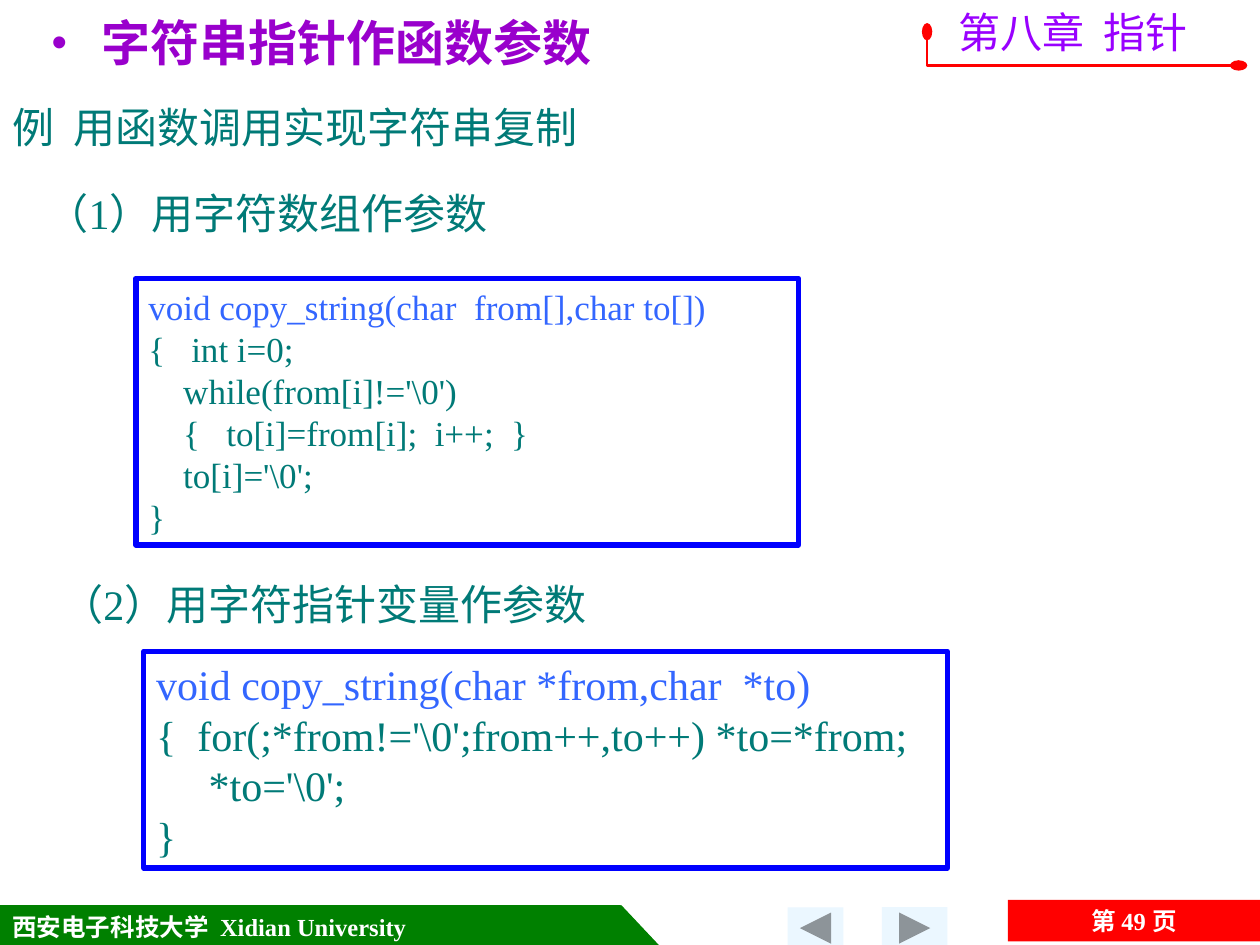
from lxml.etree import SubElement
from pptx import Presentation
from pptx.dml.color import RGBColor
from pptx.enum.shapes import MSO_SHAPE as Shape
from pptx.enum.text import MSO_ANCHOR as Anchor, PP_ALIGN as Align
from pptx.oxml.ns import qn
from pptx.util import Cm, Pt

COLOURS = {
    "green": "008000", "red": "FF0000", "button": "EBF7FF", "white": "FFFFFF",
    "teal": "007A77", "signature": "3366FF", "frame": "0000FF",
    "title": "9900CC", "chapter": "9900FF",
}
SERIF, CHINESE = "Times New Roman", "Noto Sans CJK SC"


def add_span(para, text, size, colour, font=SERIF, bold=False):
    span = para.add_run()
    span.text = text
    span.font.size = Pt(size)
    span.font.bold = bold
    span.font.name = font
    span.font.color.rgb = RGBColor.from_string(COLOURS[colour])
    SubElement(span.font._element, qn("a:ea"), typeface=CHINESE)


def add_block(kind, left, top, width, height, fill, line=None, weight=0.75):
    block = page.shapes.add_shape(kind, Cm(left), Cm(top), Cm(width), Cm(height))
    block.shadow.inherit = False
    block.fill.solid()
    block.fill.fore_color.rgb = RGBColor.from_string(COLOURS[fill])
    if line:
        block.line.color.rgb = RGBColor.from_string(COLOURS[line])
        block.line.width = Pt(weight)
    else:
        block.line.fill.background()
    return block


deck = Presentation()
deck.slide_width, deck.slide_height = Cm(25.4), Cm(19.05)
page = deck.slides.add_slide(deck.slide_layouts[6])

# Footer: university band, navigation buttons, page number
band = add_block(Shape.RECTANGLE, 0, 18.26, 12.5, 0.84, "green", "green")
band.text_frame.word_wrap = False
band.text_frame.vertical_anchor = Anchor.MIDDLE
para = band.text_frame.paragraphs[0]
para.alignment = Align.LEFT
add_span(para, "西安电子科技大学  Xidian University", 14, "white", bold=True)
add_block(Shape.RIGHT_TRIANGLE, 12.52, 18.26, 0.79, 0.84, "green", "green")

for left, width, angle in [(17.78, 1.32, 0), (15.88, 1.12, 180)]:
    button = add_block(Shape.ACTION_BUTTON_FORWARD_OR_NEXT,
                       left, 18.29, width, 0.84, "button")
    button.rotation = angle

number = add_block(Shape.RECTANGLE, 20.32, 18.14, 5.08, 0.84, "red")
number.text_frame.vertical_anchor = Anchor.TOP
para = number.text_frame.paragraphs[0]
para.alignment = Align.CENTER
for text, font in [("第 ", CHINESE), ("49 ", SERIF), ("页", CHINESE)]:
    add_span(para, text, 14, "white", font, bold=True)

# Headings: text, left, top, width, wrap, colour, font
headings = [
    ("例  用函数调用实现字符串复制", 0, 1.93, 11.94, False, "teal", SERIF),
    ("（1）用字符数组作参数", 0.69, 3.66, 9.4, True, "teal", SERIF),
    ("（2）用字符指针变量作参数", 0.99, 11.53, 11.1, True, "teal", SERIF),
    ("第八章  指针", 19.08, 0, 5.59, False, "chapter", CHINESE),
]
for text, left, top, width, wrap, colour, font in headings:
    box = page.shapes.add_textbox(Cm(left), Cm(top), Cm(width), Cm(1.27))
    box.text_frame.word_wrap = wrap
    add_span(box.text_frame.paragraphs[0], text, 24, colour, font)

# Bulleted title
box = page.shapes.add_textbox(Cm(-0.48), Cm(0.13), Cm(18.19), Cm(1.8))
box.text_frame.word_wrap = True
para = box.text_frame.paragraphs[0]
props = para._p.get_or_add_pPr()
props.set("marL", str(Cm(2.06)))
props.set("indent", str(Cm(-0.79)))
bullet_colour = SubElement(props, qn("a:buClr"))
SubElement(bullet_colour, qn("a:srgbClr"), val=COLOURS["title"])
SubElement(props, qn("a:buSzPct"), val="90000")
SubElement(props, qn("a:buFont"), typeface="Arial")
SubElement(props, qn("a:buChar"), char="•")
add_span(para, " 字符串指针作函数参数", 28, "title", "Arial", bold=True)

# Angled rule under the chapter name
builder = page.shapes.build_freeform(Cm(18.69), Cm(0.64))
builder.add_line_segments([(Cm(18.69), Cm(1.32)), (Cm(24.97), Cm(1.32))], close=False)
rule = builder.convert_to_shape()
rule.shadow.inherit = False
rule.fill.background()
rule.line.color.rgb = RGBColor.from_string(COLOURS["red"])
rule.line.width = Pt(1.5)
for end in ("a:headEnd", "a:tailEnd"):
    SubElement(rule.line._get_or_add_ln(), qn(end), type="oval", w="med", len="lg")

# Code frames: position, text size, lines
listings = [
    ((2.74, 5.61, 13.36, 5.38), 20, True, [
        "void copy_string(char  from[],char to[])",
        "{   int i=0;",
        "    while(from[i]!='\\0')",
        "    {   to[i]=from[i];  i++;  }",
        "    to[i]='\\0';",
        "}",
    ]),
    ((2.9, 13.13, 16.2, 4.37), 24, False, [
        "void copy_string(char *from,char  *to)",
        "{  for(;*from!='\\0';from++,to++) *to=*from;",
        "     *to='\\0';",
        "}",
    ]),
]
for place, size, wrap, lines in listings:
    frame = add_block(Shape.RECTANGLE, *place, "white", "frame", 3)
    body = frame.text_frame
    body.word_wrap = wrap
    body.vertical_anchor = Anchor.MIDDLE
    for index, text in enumerate(lines):
        para = body.add_paragraph() if index else body.paragraphs[0]
        para.alignment = Align.LEFT
        add_span(para, text, size, "teal" if index else "signature")

deck.save("out.pptx")
